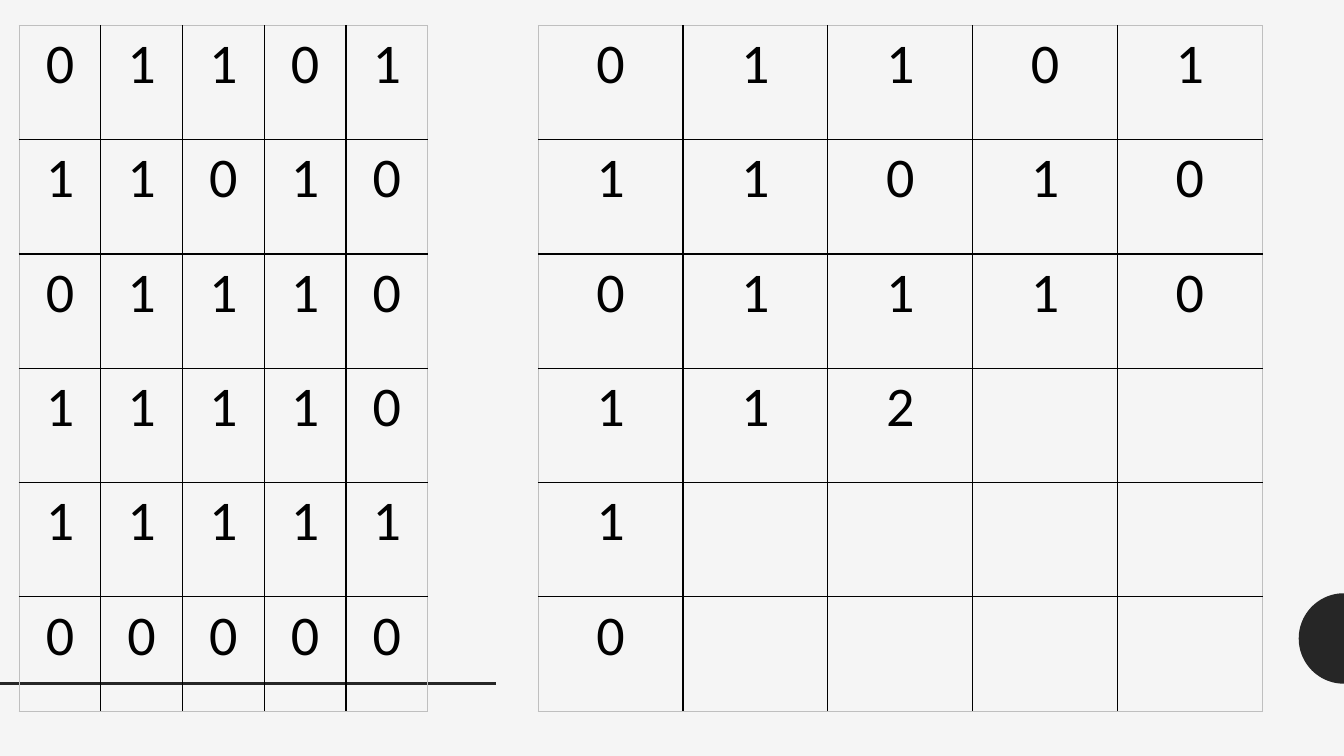
import math
from dataclasses import dataclass
from lxml import etree
from pptx import Presentation, util as u
from pptx.dml.color import RGBColor
from pptx.enum import shapes, text
from pptx.oxml.ns import qn


@dataclass
class Theme:
    back: str = "F5F5F5"
    dark: str = "262626"
    ink: str = "000000"
    edge: str = "BFBFBF"
    font: str = "Calibri"
    size: int = 40
    rule: float = 2
    grid: float = 1
    rim: float = 0.5


class Deck:
    def __init__(self, theme):
        self.theme = theme
        self.prs = Presentation()
        self.prs.slide_width, self.prs.slide_height = u.Cm(33.87), u.Cm(19.05)
        self.slide = self.prs.slides.add_slide(self.prs.slide_layouts[6])
        self.paint(self.slide.background.fill, theme.back)

    def paint(self, fill, color):
        fill.solid()
        fill.fore_color.rgb = RGBColor.from_string(color)

    def line(self, x1, y1, x2, y2):
        line = self.slide.shapes.add_connector(
            shapes.MSO_CONNECTOR.STRAIGHT, u.Cm(x1), u.Cm(y1), u.Cm(x2), u.Cm(y2))
        self.paint(line.line.fill, self.theme.dark)
        line.line.width = u.Pt(self.theme.rule)
        etree.SubElement(line._element.spPr, qn("a:effectLst"))

    def half(self, x, y, radius, steps=48):
        """Left half of a disc centred on (x, y)."""
        turns = [math.pi * (0.5 + i / steps) for i in range(steps + 1)]
        dots = [(u.Cm(x + radius * math.cos(t)), u.Cm(y + radius * math.sin(t)))
                for t in turns]
        pen = self.slide.shapes.build_freeform(*dots[0])
        pen.add_line_segments(dots[1:])
        disc = pen.convert_to_shape()
        disc.shadow.inherit = False
        self.paint(disc.fill, self.theme.dark)
        disc.line.fill.background()

    def border(self, cell, side, outer):
        width, color = ((self.theme.rim, self.theme.edge) if outer
                        else (self.theme.grid, self.theme.ink))
        line = etree.SubElement(cell._tc.get_or_add_tcPr(), qn("a:ln" + side),
                                w=str(u.Pt(width)))
        fill = etree.SubElement(line, qn("a:solidFill"))
        etree.SubElement(fill, qn("a:srgbClr"), val=color)

    def table(self, x, y, wide, high, rows):
        count, cols = len(rows), len(rows[0])
        table = self.slide.shapes.add_table(
            count, cols, u.Cm(x), u.Cm(y), u.Cm(wide * cols), u.Cm(high * count)).table
        table.first_row = table.horz_banding = False
        for col in table.columns:
            col.width = u.Cm(wide)
        for row in table.rows:
            row.height = u.Cm(high)
        for r, row in enumerate(rows):
            for c, mark in enumerate(row):
                cell = table.cell(r, c)
                outer = {"L": c == 0, "R": c == cols - 1,
                         "T": r == 0, "B": r == count - 1}
                for side, flag in outer.items():
                    self.border(cell, side, flag)
                cell.fill.background()
                if mark != " ":
                    self.digit(cell, mark)

    def digit(self, cell, mark):
        para = cell.text_frame.paragraphs[0]
        para.text = mark
        para.alignment = text.PP_ALIGN.CENTER
        font = para.runs[0].font
        font.name, font.size = self.theme.font, u.Pt(self.theme.size)
        font.color.rgb = RGBColor.from_string(self.theme.ink)


def main():
    deck = Deck(Theme())

    # Half disc and rule
    deck.half(33.87, 16.09, 1.14)
    deck.line(0, 17.22, 12.5, 17.22)

    # Binary grid and its partly filled count
    top, high = 0.64, 2.88
    shared = ["01101", "11010", "01110"]
    deck.table(0.48, top, 2.06, high, shared + ["11110", "11111", "00000"])
    deck.table(13.56, top, 3.65, high,
               shared + [row.ljust(5) for row in ("112", "1", "0")])

    deck.prs.save("out.pptx")


if __name__ == "__main__":
    main()
